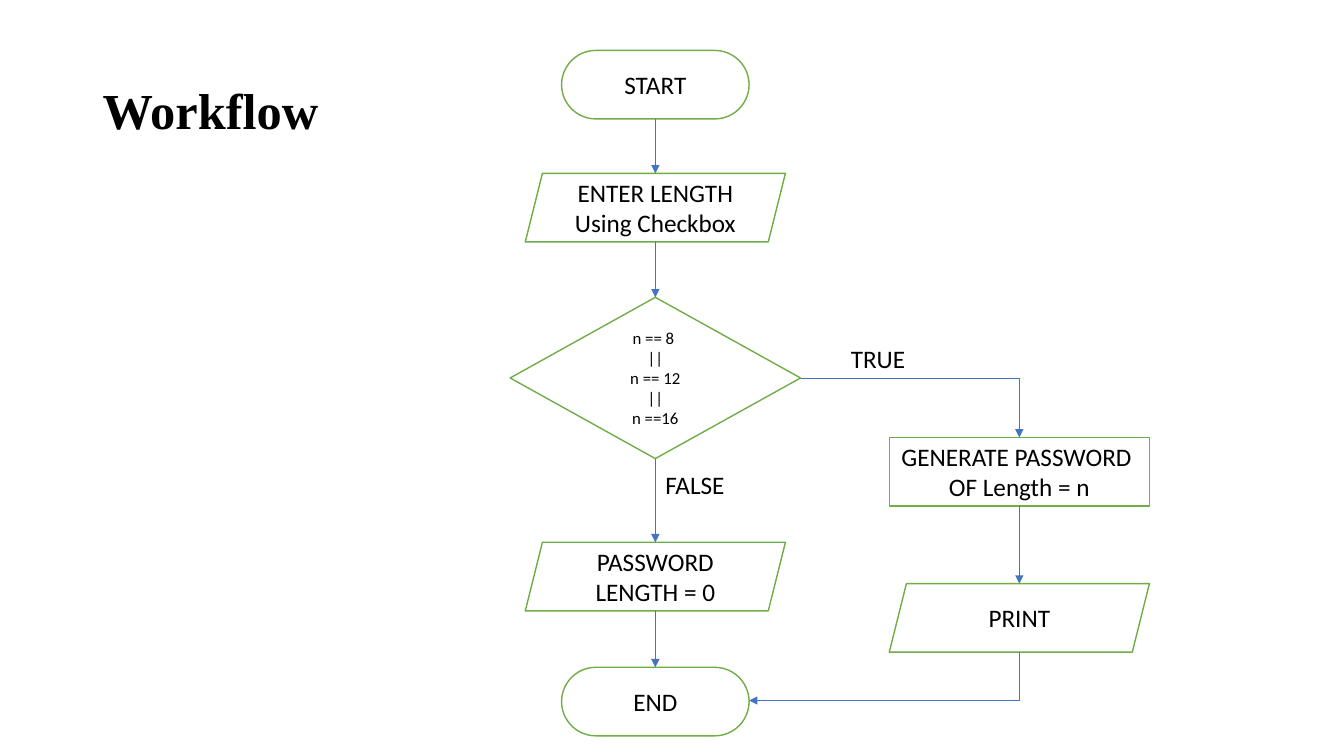
"""Build the workflow slide: a password-length flowchart."""
import dataclasses

import pptx
import pptx.dml.color
import pptx.enum.shapes
import pptx.enum.text
import pptx.oxml.ns
import pptx.util
from lxml import etree

PX = 9144
SHAPE = pptx.enum.shapes.MSO_SHAPE
ALIGN = pptx.enum.text.PP_ALIGN
ANCHOR = pptx.enum.text.MSO_ANCHOR


@dataclasses.dataclass(frozen=True)
class Theme:
    """Colours, fonts and sizes of the slide."""
    ink: str = "000000"
    paper: str = "FFFFFF"
    outline: str = "70AD47"
    arrow: str = "4472C4"
    heading_font: str = "Times New Roman"
    body_font: str = "Calibri"
    heading_size: int = 36
    body_size: int = 18
    condition_size: int = 12
    outline_width: float = 1
    arrow_width: float = 0.5


THEME = Theme()
MAIN_X, BRANCH_X = 650, 1011
STEP_HEIGHT = 68
TERMINAL_WIDTH, STEP_WIDTH, DECISION_WIDTH = 186, 258, 288


def px(*lengths):
    """Turn pixel lengths into EMU."""
    return [pptx.util.Emu(length * PX) for length in lengths]


def rgb(code):
    """Turn a hex code into a colour."""
    return pptx.dml.color.RGBColor.from_string(code)


def write(frame, lines, size=THEME.body_size, font=THEME.body_font, bold=False,
          align=ALIGN.LEFT, anchor=ANCHOR.TOP, wrap=True, spacing=None):
    """Write lines as paragraphs with one format."""
    frame.word_wrap = wrap
    frame.vertical_anchor = anchor
    for index, line in enumerate(lines):
        paragraph = frame.add_paragraph() if index else frame.paragraphs[0]
        paragraph.alignment = align
        paragraph.line_spacing = spacing
        run = paragraph.add_run()
        run.text = line
        run.font.size = pptx.util.Pt(size)
        run.font.name = font
        run.font.bold = bold
        run.font.color.rgb = rgb(THEME.ink)


def add_label(slide, box, line, **text_format):
    """Add free text in a box of left, top, width and height."""
    label = slide.shapes.add_textbox(*px(*box))
    write(label.text_frame, [line], **text_format)


def add_step(slide, kind, center_x, top, width, lines, height=STEP_HEIGHT,
             size=THEME.body_size):
    """Add an outlined flowchart step centred on its column."""
    step = slide.shapes.add_shape(kind, *px(center_x - width // 2, top, width, height))
    if kind == SHAPE.ROUNDED_RECTANGLE:
        step.adjustments[0] = 0.5
    step.shadow.inherit = False
    step.fill.solid()
    step.fill.fore_color.rgb = rgb(THEME.paper)
    step.line.color.rgb = rgb(THEME.outline)
    step.line.width = pptx.util.Pt(THEME.outline_width)
    write(step.text_frame, lines, size=size, align=ALIGN.CENTER, anchor=ANCHOR.MIDDLE)


def add_arrow(slide, start, end, kind=pptx.enum.shapes.MSO_CONNECTOR.STRAIGHT):
    """Add a connector with an arrowhead at its end."""
    arrow = slide.shapes.add_connector(kind, *px(*start, *end))
    arrow.line.color.rgb = rgb(THEME.arrow)
    arrow.line.width = pptx.util.Pt(THEME.arrow_width)
    qn = pptx.oxml.ns.qn
    etree.SubElement(arrow.line._get_or_add_ln(), qn("a:tailEnd"), type="triangle")
    etree.SubElement(arrow._element.spPr, qn("a:effectLst"))
    return arrow


def add_corner_arrow(slide, start, end, turned=False):
    """Add a one-corner arrow: right then down, or down then left if turned."""
    if turned:
        middle_x, middle_y = (start[0] + end[0]) // 2, (start[1] + end[1]) // 2
        half_width, half_height = (end[1] - start[1]) // 2, (start[0] - end[0]) // 2
        start = middle_x - half_width, middle_y - half_height
        end = middle_x + half_width, middle_y + half_height
    arrow = add_arrow(slide, start, end, pptx.enum.shapes.MSO_CONNECTOR.ELBOW)
    properties = arrow._element.spPr
    properties.find(pptx.oxml.ns.qn("a:prstGeom")).set("prst", "bentConnector2")
    if turned:
        properties.find(pptx.oxml.ns.qn("a:xfrm")).set("rot", "5400000")


def main():
    """Build and save the slide."""
    deck = pptx.Presentation()
    deck.slide_width, deck.slide_height = px(1333, 750)
    slide = deck.slides.add_slide(deck.slide_layouts[6])

    add_label(slide, (92, 40, 1150, 145), "Workflow", size=THEME.heading_size,
              font=THEME.heading_font, bold=True, anchor=ANCHOR.MIDDLE, spacing=0.9)

    for top, word in ((50, "START"), (662, "END")):
        add_step(slide, SHAPE.ROUNDED_RECTANGLE, MAIN_X, top, TERMINAL_WIDTH, [word])
    for kind, center_x, top, lines in (
        (SHAPE.PARALLELOGRAM, MAIN_X, 172, ["ENTER LENGTH", "Using Checkbox"]),
        (SHAPE.PARALLELOGRAM, MAIN_X, 538, ["PASSWORD LENGTH = 0"]),
        (SHAPE.RECTANGLE, BRANCH_X, 434, ["GENERATE PASSWORD ", "OF Length = n"]),
        (SHAPE.PARALLELOGRAM, BRANCH_X, 579, ["PRINT"]),
    ):
        add_step(slide, kind, center_x, top, STEP_WIDTH, lines)
    add_step(slide, SHAPE.FLOWCHART_DECISION, MAIN_X, 295, DECISION_WIDTH,
             ["n == 8 ", "||", "n == 12", "||", "n ==16"],
             height=160, size=THEME.condition_size)

    for center_x, bottom, next_top in (
        (MAIN_X, 118, 172), (MAIN_X, 240, 295), (MAIN_X, 455, 538),
        (MAIN_X, 606, 662), (BRANCH_X, 502, 579),
    ):
        add_arrow(slide, (center_x, bottom), (center_x, next_top))
    add_corner_arrow(slide, (MAIN_X + DECISION_WIDTH // 2, 375), (BRANCH_X, 434))
    add_corner_arrow(slide, (BRANCH_X, 647), (MAIN_X + TERMINAL_WIDTH // 2, 696),
                     turned=True)

    add_label(slide, (834, 336, 96, 40), "TRUE")
    add_label(slide, (650, 461, 79, 40), "FALSE", wrap=False)

    deck.save("out.pptx")


if __name__ == "__main__":
    main()
